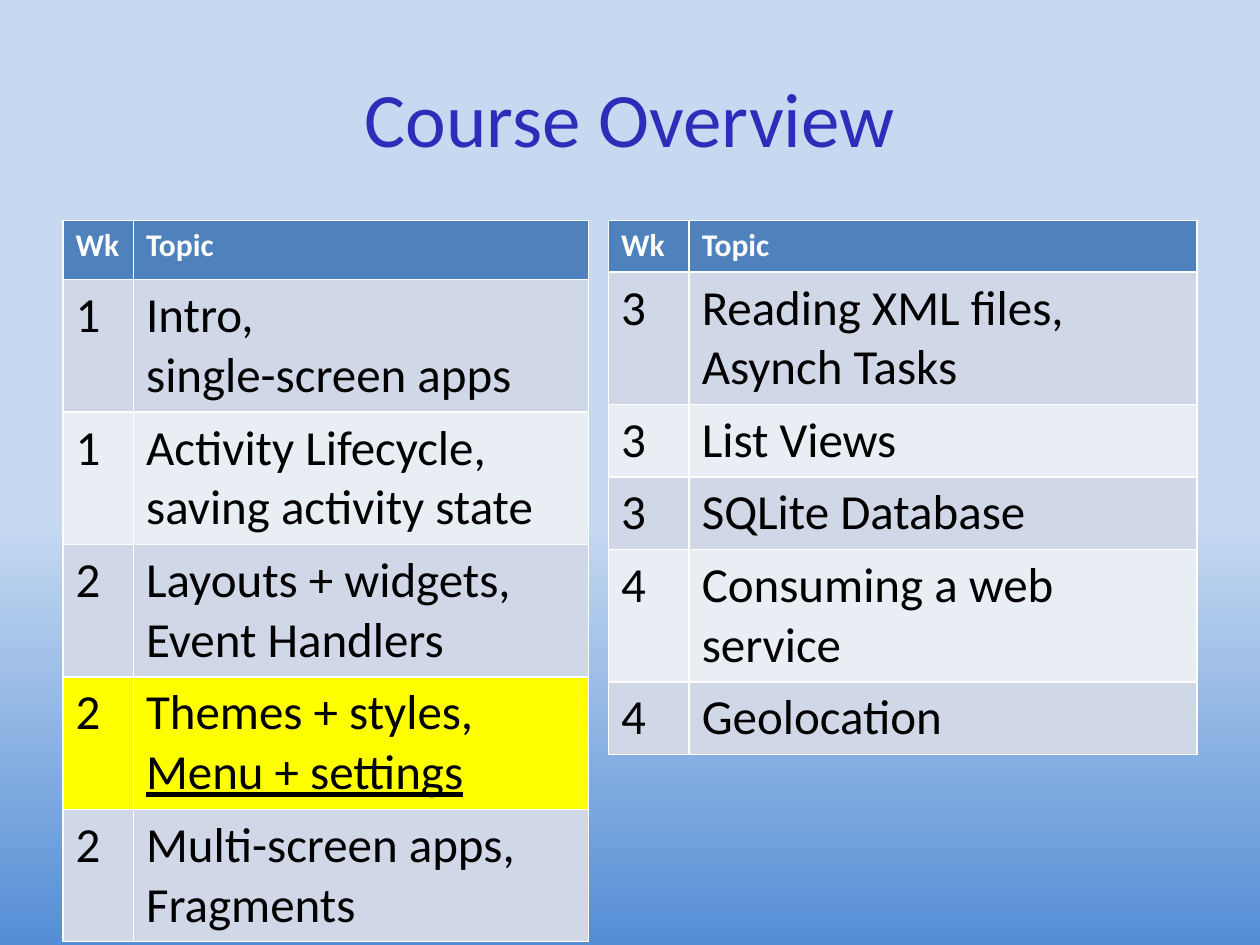
import pptx
import pptx.util
import pptx.dml.color
import pptx.enum.text

Inches = pptx.util.Inches

TITLE = "Course Overview"
HEADER = ("Wk", ["Topic"])
HEADER_FILL, HIGHLIGHT = "4F81BD", "FFFF00"
BANDS = ("D0D8E8", "E9EDF4")
BACKGROUND = [(0.55, "C6D9F1"), (1, "558ED5")]
UNDERLINED = "Menu + settings"
HIGHLIGHTED = "Themes + styles,"
TABLES = [
    {
        "left": 0.5, "cols": (0.56, 3.61), "heights": [0.47] * 6,
        "rows": [
            ("1", ["Intro, \vsingle-screen apps"]),
            ("1", ["Activity Lifecycle, saving activity state"]),
            ("2", ["Layouts + widgets,", "Event Handlers"]),
            ("2", [HIGHLIGHTED, UNDERLINED]),
            ("2", ["Multi-screen apps, Fragments"]),
        ],
    },
    {
        "left": 4.83, "cols": (0.64, 4.03),
        "heights": [0.41, 1.05, 0.57, 0.57, 1.05, 0.57],
        "rows": [
            ("3", ["Reading XML files,", "Asynch Tasks"]),
            ("3", ["List Views"]),
            ("3", ["SQLite Database"]),
            ("4", ["Consuming a web service"]),
            ("4", ["Geolocation"]),
        ],
    },
]
TABLE_TOP = 1.75


def rgb(value):
    return pptx.dml.color.RGBColor.from_string(value)


def write(tf, lines, size, color, bold=False, align=None):
    for i, line in enumerate(lines):
        p = tf.paragraphs[0] if i == 0 else tf.add_paragraph()
        p.text = line
        p.alignment = align
        for r in p.runs:
            r.font.name = "Calibri"
            r.font.size = pptx.util.Pt(size)
            r.font.bold = bold
            r.font.color.rgb = rgb(color)
            if line == UNDERLINED:
                r.font.underline = True


def add_topics(s, left, cols, heights, rows):
    content = [HEADER] + rows
    table = s.shapes.add_table(
        len(content), len(cols), Inches(left), Inches(TABLE_TOP),
        Inches(sum(cols)), Inches(sum(heights))).table
    for column, width in zip(table.columns, cols):
        column.width = Inches(width)
    for i, (week, topic) in enumerate(content):
        table.rows[i].height = Inches(heights[i])
        fill = HEADER_FILL if i == 0 else BANDS[(i - 1) % 2]
        if HIGHLIGHTED in topic:
            fill = HIGHLIGHT
        for j, lines in enumerate(([week], topic)):
            cell = table.cell(i, j)
            cell.fill.solid()
            cell.fill.fore_color.rgb = rgb(fill)
            if i == 0:
                write(cell.text_frame, lines, size=18, color="FFFFFF", bold=True)
            else:
                write(cell.text_frame, lines, size=28, color="000000")


def main():
    prs = pptx.Presentation()
    prs.slide_width, prs.slide_height = Inches(10), Inches(7.5)
    s = prs.slides.add_slide(prs.slide_layouts[5])

    fill = s.background.fill
    fill.gradient()
    fill.gradient_angle = 270
    for stop, (position, color) in zip(fill.gradient_stops, BACKGROUND):
        stop.position = position
        stop.color.rgb = rgb(color)

    title = s.shapes.title
    title.left, title.top = Inches(0.5), Inches(0.3)
    title.width, title.height = Inches(9), Inches(1.25)
    title.text_frame.vertical_anchor = pptx.enum.text.MSO_ANCHOR.MIDDLE
    write(title.text_frame, [TITLE], size=44, color="2D2DB9",
          align=pptx.enum.text.PP_ALIGN.CENTER)

    for topics in TABLES:
        add_topics(s, **topics)
    prs.save("out.pptx")


if __name__ == "__main__":
    main()
